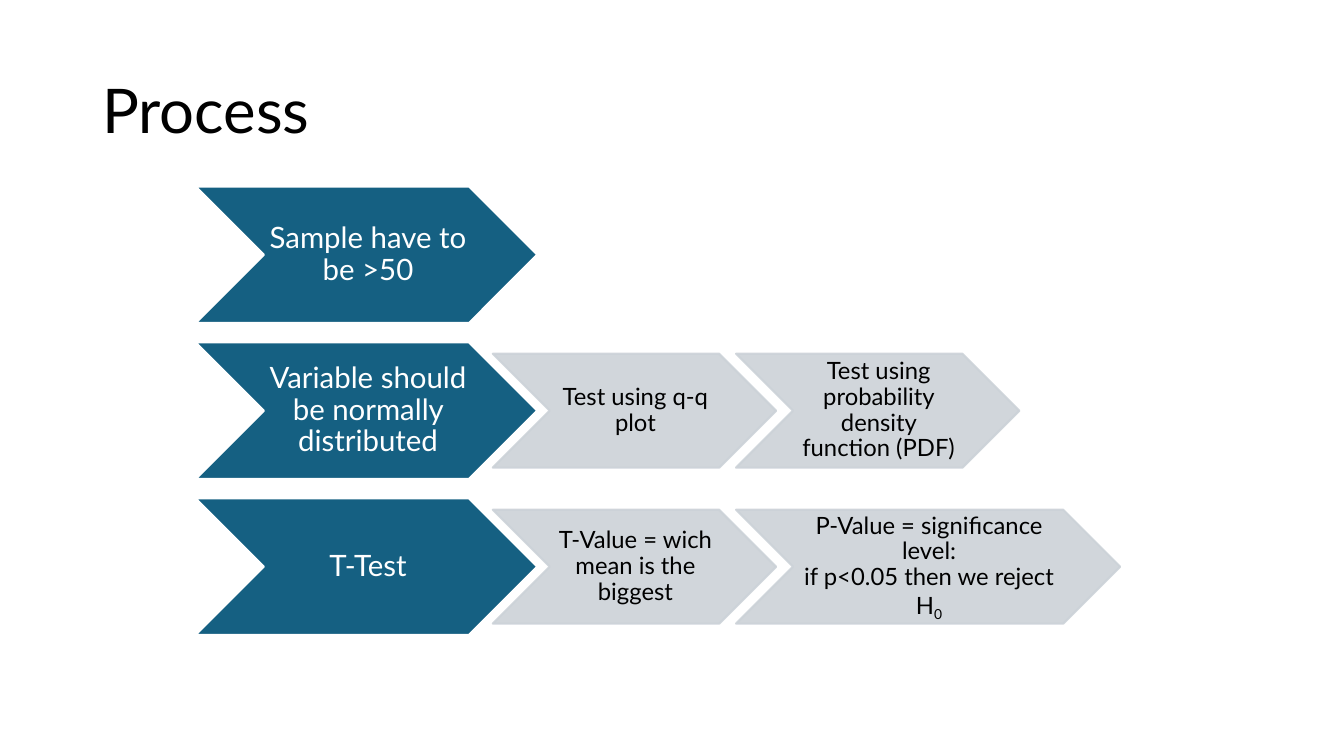
"""Build the Process slide: three rows of chevron steps with their details."""
from dataclasses import dataclass

from lxml.etree import SubElement
from pptx import Presentation
from pptx.dml.color import RGBColor
from pptx.enum.shapes import MSO_SHAPE
from pptx.enum.text import MSO_ANCHOR, PP_ALIGN
from pptx.oxml.ns import qn
from pptx.slide import Slide
from pptx.text.text import _Paragraph
from pptx.util import Cm, Pt

COLOURS = {"step": "156082", "detail": "CCD2D8", "white": "FFFFFF", "black": "000000"}
FONT = "Lato"
STEP_LEFT, STEP_TOP, ROW_PITCH = 4.93, 4.7, 3.93
DETAIL_LEFT, DETAIL_PITCH = 12.42, 6.13


@dataclass(frozen=True)
class Style:
    height: float
    size: int
    fill: str
    line: str
    text: str
    inset: float
    opacity: int = 100


@dataclass(frozen=True)
class Detail:
    lines: tuple[str, ...]
    width: float = 7.14
    subscript: str = ""


@dataclass(frozen=True)
class Row:
    step: Detail
    details: tuple[Detail, ...] = ()


STEP_STYLE = Style(3.44, 21, "step", "white", "white", 0.08)
DETAIL_STYLE = Style(2.87, 17, "detail", "detail", "black", 0.05, 90)
STEP_WIDTH = 8.61

ROWS = (
    Row(Detail(("Sample have to be >50",), STEP_WIDTH)),
    Row(
        Detail(("Variable should be normally distributed",), STEP_WIDTH),
        (
            Detail(("Test using q-q plot",)),
            Detail(("Test using probability density function (PDF)",)),
        ),
    ),
    Row(
        Detail(("T-Test",), STEP_WIDTH),
        (
            Detail(("T-Value = wich mean is the biggest",)),
            Detail(
                ("P-Value = significance level:", "if p<0.05 then we reject H"), 9.68, "0"
            ),
        ),
    ),
)


def colour(name: str) -> RGBColor:
    """Return the named colour."""
    return RGBColor.from_string(COLOURS[name])


def add_run(paragraph: _Paragraph, text: str, size: int, colour_name: str, baseline: int = 0) -> None:
    """Add a formatted run, lowered when the baseline is negative."""
    run = paragraph.add_run()
    run.text = text
    run.font.name = FONT
    run.font.size = Pt(size)
    run.font.color.rgb = colour(colour_name)
    if baseline:
        run.font._element.set("baseline", str(baseline))


def add_title(slide: Slide, text: str) -> None:
    """Add the slide title."""
    box = slide.shapes.add_textbox(Cm(2.33), Cm(1.01), Cm(29.21), Cm(3.68))
    box.text_frame.word_wrap = True
    box.text_frame.vertical_anchor = MSO_ANCHOR.MIDDLE
    paragraph = box.text_frame.paragraphs[0]
    paragraph.line_spacing = 0.9
    add_run(paragraph, text, 44, "black")


def add_chevron(slide: Slide, detail: Detail, style: Style, left: float, middle: float) -> None:
    """Add a chevron with its text, centred vertically on middle."""
    shape = slide.shapes.add_shape(
        MSO_SHAPE.CHEVRON,
        Cm(left), Cm(middle - style.height / 2), Cm(detail.width), Cm(style.height),
    )
    shape.shadow.inherit = False
    shape.fill.solid()
    shape.fill.fore_color.rgb = colour(style.fill)
    shape.line.color.rgb = colour(style.line)
    shape.line.width = Pt(1.5)
    if style.opacity < 100:
        for element in shape._element.spPr.iter(qn("a:srgbClr")):
            SubElement(element, qn("a:alpha")).set("val", str(style.opacity * 1000))

    frame = shape.text_frame
    frame.word_wrap = True
    frame.vertical_anchor = MSO_ANCHOR.MIDDLE
    frame.margin_left, frame.margin_right = Cm(style.inset), Cm(0)
    frame.margin_top = frame.margin_bottom = Cm(0.03)
    paragraph = frame.paragraphs[0]
    paragraph.alignment = PP_ALIGN.CENTER
    paragraph.line_spacing = 0.9
    for index, line in enumerate(detail.lines):
        if index:
            paragraph.add_line_break()
        add_run(paragraph, line, style.size, style.text)
    if detail.subscript:
        add_run(paragraph, detail.subscript, style.size, style.text, -25000)


def main() -> None:
    """Build and save the presentation."""
    presentation = Presentation()
    presentation.slide_width, presentation.slide_height = Cm(33.87), Cm(19.05)
    slide = presentation.slides.add_slide(presentation.slide_layouts[6])
    add_title(slide, "Process")
    for row_index, row in enumerate(ROWS):
        middle = STEP_TOP + row_index * ROW_PITCH + STEP_STYLE.height / 2
        add_chevron(slide, row.step, STEP_STYLE, STEP_LEFT, middle)
        for index, detail in enumerate(row.details):
            add_chevron(slide, detail, DETAIL_STYLE, DETAIL_LEFT + index * DETAIL_PITCH, middle)
    presentation.save("out.pptx")


if __name__ == "__main__":
    main()
